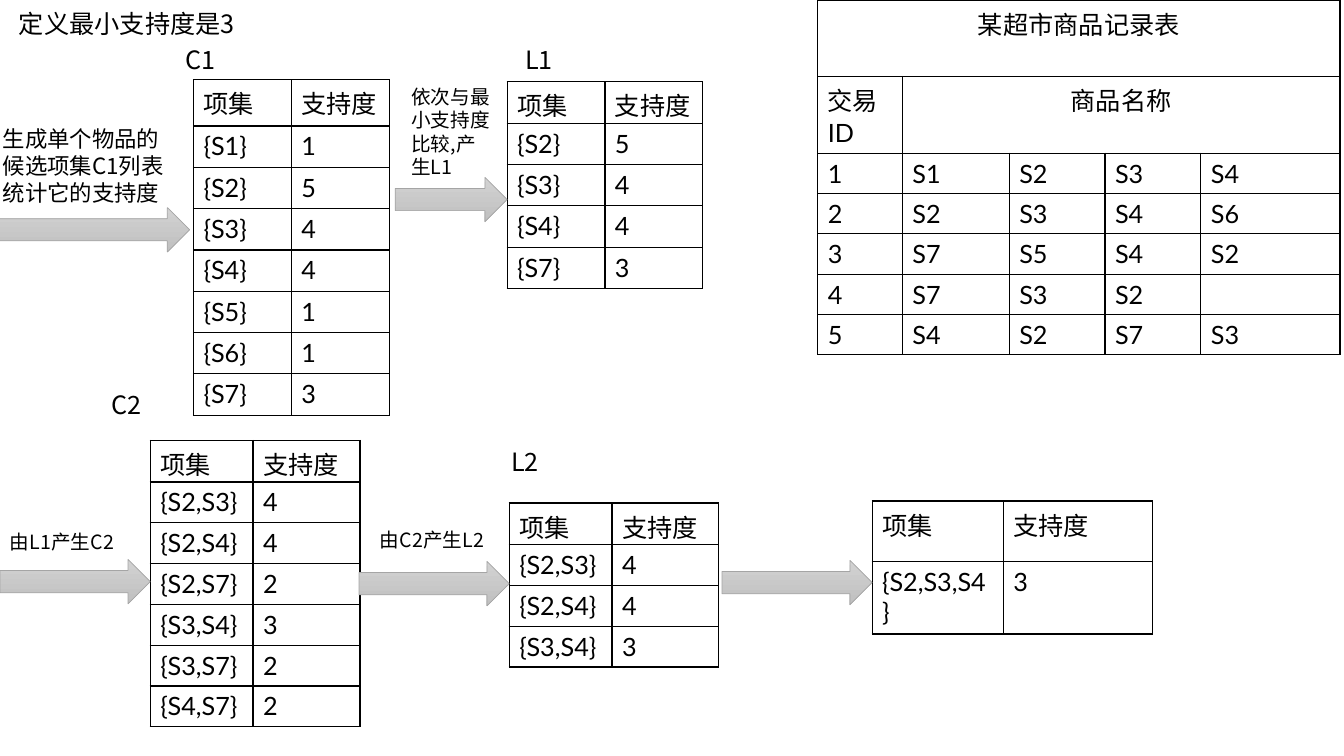
from lxml import etree
from pptx import Presentation
from pptx.dml.color import RGBColor
from pptx.enum.shapes import MSO_SHAPE
from pptx.enum.text import PP_ALIGN
from pptx.oxml.ns import qn
from pptx.util import Inches, Pt

ARROW = MSO_SHAPE.RIGHT_ARROW
LEFT, MID = PP_ALIGN.LEFT, PP_ALIGN.CENTER
LATIN, HAN = "Lato", "Noto Sans CJK SC"
WIDE, HIGH = 13.33, 7.5
ROW = 0.405
HEAD = ["项集", "支持度"]

SALES = [
    ["某超市商品记录表", "", "", "", ""],
    ["交易ID", "商品名称", "", "", ""],
    ["1", "S1", "S2", "S3", "S4"],
    ["2", "S2", "S3", "S4", "S6"],
    ["3", "S7", "S5", "S4", "S2"],
    ["4", "S7", "S3", "S2", ""],
    ["5", "S4", "S2", "S7", "S3"],
]
SPANS = [(0, 0), (1, 1)]

SETS = [
    (1.92, 0.79, [0.97, 0.97], [0.46], 0.41,
     [("S1", 1), ("S2", 5), ("S3", 4), ("S4", 4), ("S5", 1), ("S6", 1), ("S7", 3)]),
    (5.03, 0.81, [0.97, 0.97], [0.41], 0.41,
     [("S2", 5), ("S3", 4), ("S4", 4), ("S7", 3)]),
    (1.49, 4.37, [1.02, 1.06], [0.4], ROW,
     [("S2,S3", 4), ("S2,S4", 4), ("S2,S7", 2), ("S3,S4", 3), ("S3,S7", 2), ("S4,S7", 2)]),
    (5.05, 4.99, [1.02, 1.06], [0.4], ROW,
     [("S2,S3", 4), ("S2,S4", 4), ("S3,S4", 3)]),
    (8.65, 4.97, [1.3, 1.48], [0.6], 0.72, [("S2,S3,S4", 3)]),
]

ARROWS = [(-0.04, 2.06, 1.92), (3.92, 1.76, 1.11), (0, 5.55, 1.49),
          (3.56, 5.57, 1.49), (7.16, 5.56, 1.49)]

NOTES = [
    (0.09, 0.03, 2.37, 0.4, 18, ["定义最小支持度是3"]),
    (-0.07, 1.19, 1.99, 0.91, 16, ["生成单个物品的", "候选项集C1列表统计它的支持度"]),
    (3.98, 0.79, 0.98, 1.04, 14, ["依次与最小支持度比较,产生L1"]),
    (0, 5.21, 1.25, 0.34, 14, ["由L1产生C2"]),
    (3.67, 5.19, 1.25, 0.34, 14, ["由C2产生L2"]),
    (1.74, 0.39, 0.52, 0.4, 18, ["C1"]),
    (5.11, 0.39, 0.48, 0.4, 18, ["L1"]),
    (1.01, 3.81, 0.52, 0.4, 18, ["C2"]),
    (4.97, 4.38, 0.48, 0.4, 18, ["L2"]),
]


def paint(color, code):
    color.rgb = RGBColor.from_string(code)


def write(para, text, size, face, align=LEFT):
    para.alignment = align
    run = para.add_run()
    run.text = text
    for key, val in {"size": Pt(size), "name": face}.items():
        setattr(run.font, key, val)
    paint(run.font.color, "000000")
    etree.SubElement(run.font._element, qn("a:ea"), typeface=HAN)


def frame(cell):
    props = cell._tc.get_or_add_tcPr()
    for side in ("a:lnL", "a:lnR", "a:lnT", "a:lnB"):
        line = etree.SubElement(props, qn(side), w=str(Pt(1)))
        fill = etree.SubElement(line, qn("a:solidFill"))
        etree.SubElement(fill, qn("a:srgbClr"), val="000000")
    cell.fill.background()
    cell.margin_bottom = 0


def grid(slide, left, top, cols, rows, data, spans=()):
    box = [Inches(v) for v in (left, top, sum(cols), sum(rows))]
    table = slide.shapes.add_table(len(rows), len(cols), *box).table
    for key in ("first_row", "horz_banding"):
        setattr(table, key, False)
    for col, size in zip(table.columns, cols):
        col.width = Inches(size)
    for row, size in zip(table.rows, rows):
        row.height = Inches(size)
    for r, line in enumerate(data):
        for c, text in enumerate(line):
            cell = table.cell(r, c)
            frame(cell)
            para = cell.text_frame.paragraphs[0]
            para.font.size = Pt(18)
            if text:
                write(para, text, 18, LATIN, MID if (r, c) in spans else LEFT)
    for r, c in spans:
        table.cell(r, c).merge(table.cell(r, len(cols) - 1))


def arrow(slide, left, top, width):
    shape = slide.shapes.add_shape(ARROW, *[Inches(v) for v in (left, top, width, 0.44)])
    shape.shadow.inherit = False
    shape.fill.gradient()
    shape.fill.gradient_angle = 270
    for stop, code, place in zip(shape.fill.gradient_stops, ("D2D2D2", "C0C0C0"), (0, 1)):
        paint(stop.color, code)
        stop.position = place
    paint(shape.line.color, "A5A5A5")
    shape.line.width = Pt(0.5)


def note(slide, left, top, width, height, size, lines):
    box = slide.shapes.add_textbox(*[Inches(v) for v in (left, top, width, height)])
    body = box.text_frame
    body.word_wrap = True
    for i, text in enumerate(lines):
        para = body.add_paragraph() if i else body.paragraphs[0]
        write(para, text, size, HAN)


def main():
    deck = Presentation()
    deck.slide_width, deck.slide_height = Inches(WIDE), Inches(HIGH)
    slide = deck.slides.add_slide(deck.slide_layouts[6])
    grid(slide, 8.11, 0, [0.84, 1.06, 0.95, 0.95, 1.38],
         [0.76] * 2 + [0.4] * 5, SALES, SPANS)
    for left, top, cols, head, step, pairs in SETS:
        data = [HEAD] + [["{" + name + "}", str(count)] for name, count in pairs]
        grid(slide, left, top, cols, head + [step] * len(pairs), data)
    for item in ARROWS:
        arrow(slide, *item)
    for item in NOTES:
        note(slide, *item)
    deck.save("out.pptx")


if __name__ == "__main__":
    main()
